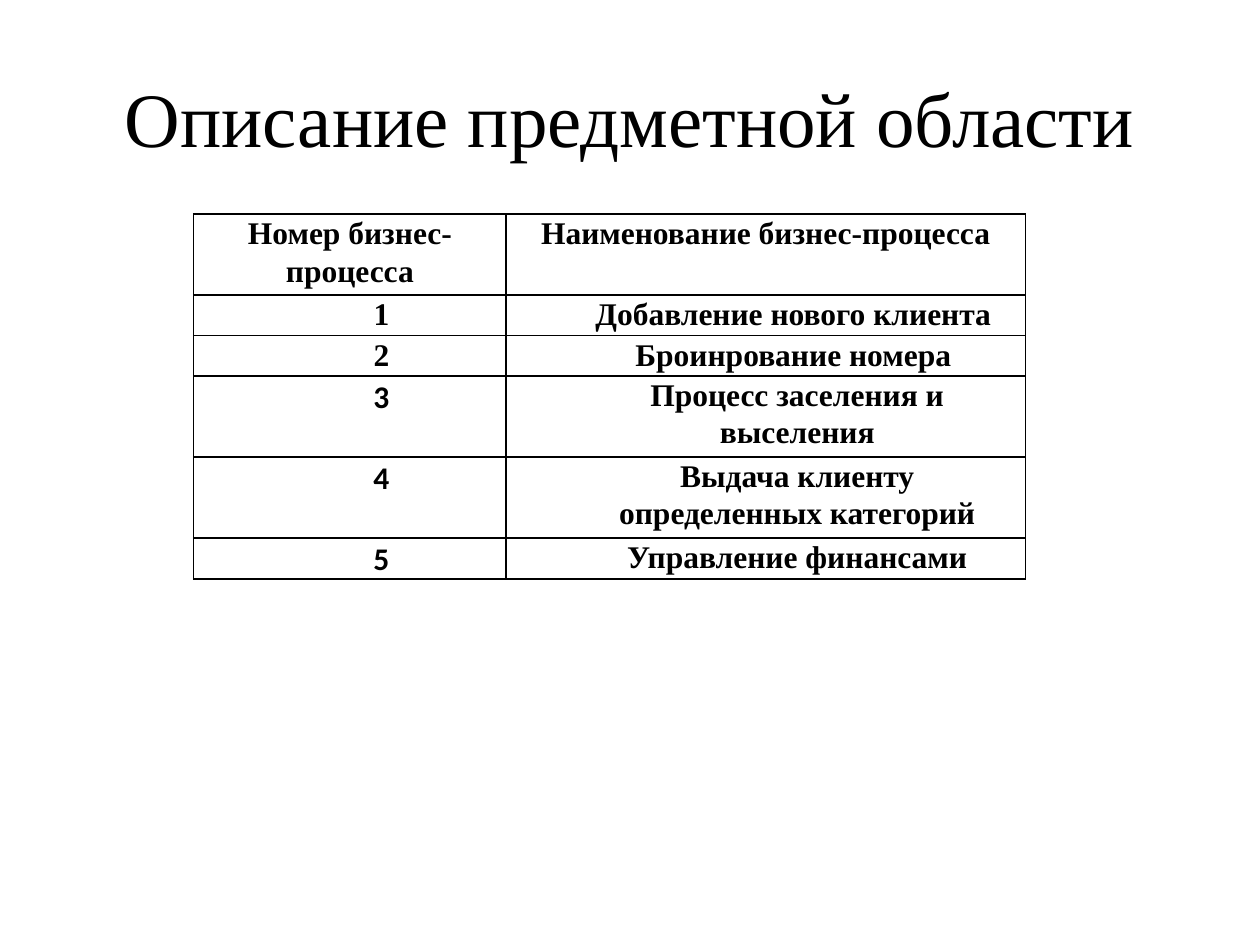
from dataclasses import dataclass

from lxml import etree
from pptx import Presentation
from pptx import util as u
from pptx.dml.color import RGBColor
from pptx.enum import text as t
from pptx.oxml import ns

COLORS = {"ink": "000000"}
SERIF = "Times New Roman"
SANS = "Calibri"
COLUMN_WIDTHS = (178.6, 296.6)


@dataclass
class ProcessRow:
    number: str
    name: str
    height: float
    number_font: str = SERIF
    indent: float = 36


ROWS = [
    ProcessRow("Номер бизнес-процесса", "Наименование бизнес-процесса", 42.6, indent=0),
    ProcessRow(" 1\u00a0", "Добавление нового клиента\u00a0", 23),
    ProcessRow("2", "Броинрование номера\u00a0", 21.3),
    ProcessRow("3", "Процесс заселения и выселения", 42.6, SANS),
    ProcessRow("4", "Выдача клиенту определенных категорий", 42.6, SANS),
    ProcessRow("5", "Управление финансами", 23.4, SANS),
]


def write_text(frame, content: str, *, size: float, font: str = SERIF, bold: bool = False,
               indent: float = 0, line_spacing: float = 1, space_after: float = 0) -> None:
    paragraph = frame.paragraphs[0]
    paragraph.alignment = t.PP_ALIGN.CENTER
    paragraph.line_spacing = line_spacing
    paragraph.space_after = u.Pt(space_after)
    if indent:
        properties = paragraph._p.get_or_add_pPr()
        properties.set("marL", str(u.Pt(indent)))
        properties.set("indent", "0")
    run = paragraph.add_run()
    run.text = content
    run.font.size = u.Pt(size)
    run.font.name = font
    run.font.bold = bold
    run.font.color.rgb = RGBColor.from_string(COLORS["ink"])


def add_borders(cell, color: str, width: float) -> None:
    properties = cell._tc.get_or_add_tcPr()
    for position, side in enumerate(("lnL", "lnR", "lnT", "lnB")):
        line = etree.Element(ns.qn(f"a:{side}"), w=str(u.Pt(width)))
        fill = etree.SubElement(line, ns.qn("a:solidFill"))
        etree.SubElement(fill, ns.qn("a:srgbClr"), val=color)
        properties.insert(position, line)


def add_title(slide, content: str) -> None:
    shape = slide.shapes.add_textbox(u.Pt(36), u.Pt(21.6), u.Pt(648), u.Pt(90))
    frame = shape.text_frame
    frame.word_wrap = True
    frame.vertical_anchor = t.MSO_ANCHOR.MIDDLE
    write_text(frame, content, size=44)


def fill_cell(cell, content: str, *, font: str, indent: float, space_after: float) -> None:
    cell.margin_left = cell.margin_right = u.Pt(5.04)
    cell.margin_top = cell.margin_bottom = u.Pt(0)
    cell.fill.background()
    add_borders(cell, COLORS["ink"], 1)
    write_text(cell.text_frame, content, size=18, font=font, bold=True,
               indent=indent, line_spacing=1.07, space_after=space_after)


def add_process_table(slide, rows: list[ProcessRow]) -> None:
    shape = slide.shapes.add_table(
        len(rows), len(COLUMN_WIDTHS), u.Pt(110.7), u.Pt(122.4),
        u.Pt(sum(COLUMN_WIDTHS)), u.Pt(sum(row.height for row in rows)))
    table = shape.table
    table.first_row = table.horz_banding = False
    for column, width in zip(table.columns, COLUMN_WIDTHS):
        column.width = u.Pt(width)
    for index, row in enumerate(rows):
        table.rows[index].height = u.Pt(row.height)
        fill_cell(table.cell(index, 0), row.number, font=row.number_font,
                  indent=row.indent, space_after=0)
        fill_cell(table.cell(index, 1), row.name, font=SERIF,
                  indent=row.indent, space_after=8)


def main() -> None:
    presentation = Presentation()
    presentation.slide_width = u.Pt(720)
    presentation.slide_height = u.Pt(540)
    slide = presentation.slides.add_slide(presentation.slide_layouts[6])
    add_title(slide, "Описание предметной области")
    add_process_table(slide, ROWS)
    presentation.save("out.pptx")


main()
